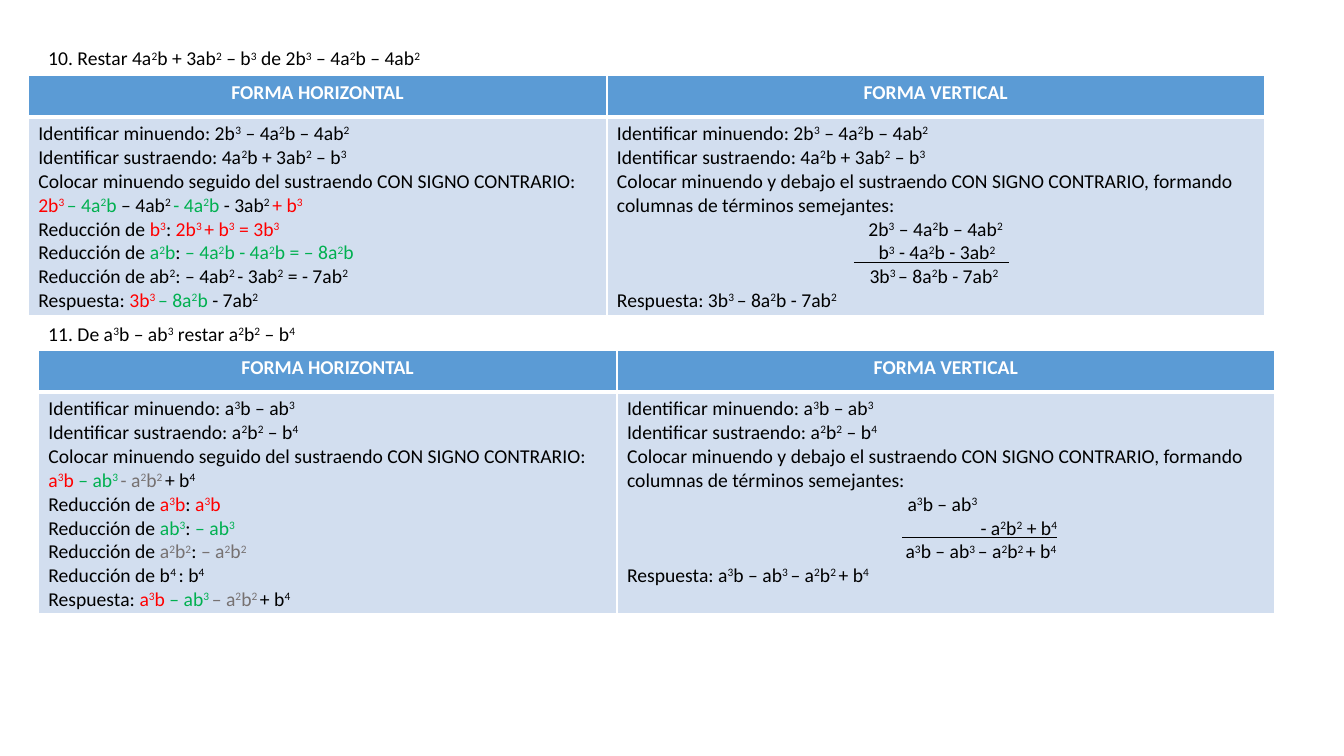
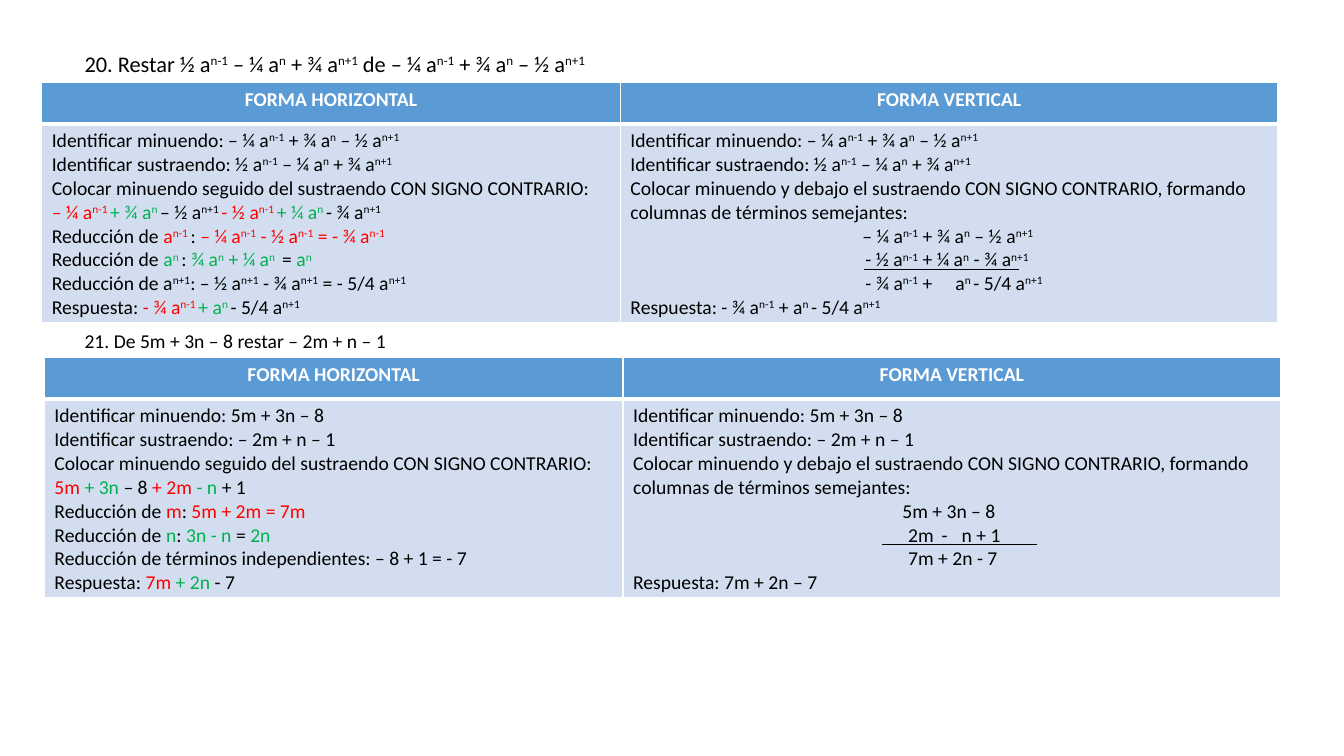
from lxml import etree
from pptx import Presentation
from pptx.dml.color import RGBColor
from pptx.enum.shapes import MSO_CONNECTOR
from pptx.enum.text import PP_ALIGN
from pptx.oxml.ns import qn
from pptx.util import Inches, Pt

STRAIGHT = MSO_CONNECTOR.STRAIGHT
CENTER = PP_ALIGN.CENTER

SLIDE_W, SLIDE_H = Inches(13.333), Inches(7.5)
COLORS = {
    "ink": "000000", "white": "FFFFFF", "header": "5B9BD5", "body": "D2DEEF",
    "r:": "FF0000", "g:": "00B050", "s:": "767171",
}
BODY_FONT = {"name": "Calibri", "size": Pt(14), "bold": False}
HEADER_FONT = {**BODY_FONT, "bold": True}

FORMS = ("FORMA HORIZONTAL", "FORMA VERTICAL")
FORM_WIDTHS = (43.06, 48.94)
HEADER_HEIGHT = 5.47
LINE_HEIGHT, LINE_PADDING = 3.2, 0.53
SUM_RULE_DROP, SUM_RULE_LENGTH = 24.67, 11.55
THIN, THICK = 1, 3

# fmt: off
EXERCISES = [
    [
        {
            "left": 2.1, "top": 10, "heading_left": 2.85, "size": 14,
            "heading": "10. Restar {sustraendo} de {minuendo}",
            "minuendo": "2b^3^ – 4a^2^b – 4ab^2^",
            "sustraendo": "4a^2^b + 3ab^2^ – b^3^",
            "horizontal": [
                "r:2b^3 ^|g:– 4a^2^b |– 4ab^2 ^|g:- 4a^2^b |- 3ab^2 ^|r:+ b^3^",
                "Reducción de |r:b^3^|: |r:2b^3 ^+ b^3^ = 3b^3^",
                "Reducción de |g:a^2^b|: |g:– 4a^2^b - 4a^2^b = – 8a^2^b",
                "Reducción de ab^2^: – 4ab^2 ^- 3ab^2^ = - 7ab^2^",
                "Respuesta: |r:3b^3 ^|g:– 8a^2^b |- 7ab^2^",
            ],
            "vertical": [
                ("\t2b^3^ – 4a^2^b – 4ab^2^", [18.71]),
                ("\tb^3^ - 4a^2^b - 3ab^2^", [19.46]),
                ("\t3b^3 ^– 8a^2^b - 7ab^2^", [18.79]),
            ],
            "answer": "3b^3 ^– 8a^2^b - 7ab^2^",
            "rule_left": 63.53,
        },
        {
            "left": 2.85, "top": 46.4, "heading_left": 2.85, "size": 14,
            "heading": "11. De {minuendo} restar {sustraendo}",
            "minuendo": "a^3^b – ab^3^",
            "sustraendo": "a^2^b^2^ – b^4^",
            "horizontal": [
                "r:a^3^b |g:– ab^3 ^|s:- a^2^b^2 ^|+ b^4^",
                "Reducción de |r:a^3^b|: |r:a^3^b",
                "Reducción de |g:ab^3^|: |g:– ab^3^",
                "Reducción de |s:a^2^b^2^|: |s:– a^2^b^2^",
                "Reducción de b^4 ^: b^4^",
                "Respuesta: |r:a^3^b |g:– ab^3 ^|s:– a^2^b^2 ^|+ b^4^",
            ],
            "vertical": [
                ("\ta^3^b – ab^3^", [20.87]),
                ("\t- a^2^b^2^ + b^4^", [26.3]),
                ("\ta^3^b – ab^3 ^– a^2^b^2 ^+ b^4^", [20.72]),
            ],
            "answer": "a^3^b – ab^3 ^– a^2^b^2 ^+ b^4^",
            "rule_left": 67.13,
        },
    ],
    [
        {
            "left": 3.1, "top": 10.93, "heading_left": 5.55, "size": 16,
            "heading": "20. Restar {sustraendo} de {minuendo}",
            "minuendo": "– ¼ a^n-1^ + ¾ a^n^ – ½ a^n+1^",
            "sustraendo": "½ a^n-1^ – ¼ a^n^ + ¾ a^n+1^",
            "horizontal": [
                "r:– ¼ a^n-1 ^|g:+ ¾ a^n ^|– ½ a^n+1 ^|r:- ½ a^n-1 ^|g:+ ¼ a^n ^|- ¾ a^n+1^",
                "Reducción de |r:a^n-1 ^|: |r:– ¼ a^n-1^ - ½ a^n-1^ = - ¾ a^n-1^",
                "Reducción de |g:a^n ^|: |g:¾ a^n^ + ¼ a^n ^| = |g:a^n^",
                "Reducción de a^n+1^: – ½ a^n+1^ - ¾ a^n+1^ = - 5/4 a^n+1^",
                "Respuesta: |r:- ¾ a^n-1 ^|g:+ a^n ^|- 5/4 a^n+1^",
            ],
            "vertical": [
                ("\t– ¼ a^n-1^ + ¾ a^n^ – ½ a^n+1^", [17.26]),
                ("\t- ½ a^n-1^ + ¼ a^n^ - ¾ a^n+1^", [17.48]),
                ("\t- ¾ a^n-1^ +\ta^n ^- 5/4 a^n+1^", [17.48, 24.18]),
            ],
            "answer": "- ¾ a^n-1^ + a^n ^- 5/4 a^n+1^",
            "rule_left": 64.28,
        },
        {
            "left": 3.3, "top": 47.33, "heading_left": 5.55, "size": 14,
            "heading": "21. De {minuendo} restar {sustraendo}",
            "minuendo": "5m + 3n – 8",
            "sustraendo": "– 2m + n – 1",
            "horizontal": [
                "r:5m |g:+ 3n |– 8 |r:+ 2m |g:- n |+ 1",
                "Reducción de |r:m|: |r:5m + 2m = 7m",
                "Reducción de |g:n|: |g:3n - n |= |g:2n",
                "Reducción de términos independientes: – 8 + 1 = - 7",
                "Respuesta: |r:7m |g:+ 2n |- 7",
            ],
            "vertical": [
                ("\t5m + 3n – 8", [20.03]),
                ("\t2m\t-\tn + 1", [20.46, 22.95, 24.45]),
                ("\t7m + 2n - 7", [20.46]),
            ],
            "answer": "7m + 2n – 7",
            "rule_left": 65.63,
        },
    ],
]
# fmt: on


def across(percent):
    return round(SLIDE_W * percent / 100)


def down(percent):
    return round(SLIDE_H * percent / 100)


def rgb(key):
    return RGBColor.from_string(COLORS[key])


def write_formula(paragraph, formula, style, ink="ink"):
    for term in formula.split("|"):
        color = term[:2] if term[:2] in COLORS else ink
        text = term if color == ink else term[2:]
        for position, piece in enumerate(text.split("^")):
            if not piece:
                continue
            run = paragraph.add_run()
            run.text = piece
            for attribute, value in style.items():
                setattr(run.font, attribute, value)
            run.font.color.rgb = rgb(color)
            if position % 2:
                run.font._element.set("baseline", "30000")


def set_tab_stops(paragraph, stops):
    tab_list = etree.SubElement(paragraph._p.get_or_add_pPr(), qn("a:tabLst"))
    for stop in stops:
        etree.SubElement(tab_list, qn("a:tab"), pos=str(across(stop)), algn="l")


def write_steps(cell, steps):
    frame = cell.text_frame
    for index, (formula, stops) in enumerate(steps):
        paragraph = frame.add_paragraph() if index else frame.paragraphs[0]
        if stops:
            set_tab_stops(paragraph, stops)
        write_formula(paragraph, formula, BODY_FONT)


def style_cell(cell, fill, top, bottom):
    properties = cell._tc.get_or_add_tcPr()
    for side, width in (("L", THIN), ("R", THIN), ("T", top), ("B", bottom)):
        border = etree.SubElement(properties, qn(f"a:ln{side}"), w=str(Pt(width)))
        paint = etree.SubElement(border, qn("a:solidFill"))
        etree.SubElement(paint, qn("a:srgbClr"), val=COLORS["white"])
    cell.fill.solid()
    cell.fill.fore_color.rgb = rgb(fill)


def add_heading(slide, exercise):
    height = 4.93 if exercise["size"] > 14 else 4.53
    box = slide.shapes.add_textbox(
        across(exercise["heading_left"]), down(exercise["top"] - height),
        across(41), down(height),
    )
    box.text_frame.word_wrap = True
    style = {**BODY_FONT, "size": Pt(exercise["size"])}
    write_formula(
        box.text_frame.paragraphs[0], exercise["heading"].format(**exercise), style
    )


def solution_steps(exercise):
    opening = [
        (f"Identificar minuendo: {exercise['minuendo']}", []),
        (f"Identificar sustraendo: {exercise['sustraendo']}", []),
    ]
    horizontal = [
        *opening,
        ("Colocar minuendo seguido del sustraendo CON SIGNO CONTRARIO:", []),
        *((step, []) for step in exercise["horizontal"]),
    ]
    vertical = [
        *opening,
        ("Colocar minuendo y debajo el sustraendo CON SIGNO CONTRARIO, "
         "formando columnas de términos semejantes:", []),
        *exercise["vertical"],
        (f"Respuesta: {exercise['answer']}", []),
    ]
    return horizontal, vertical


def add_solution(slide, exercise):
    solutions = solution_steps(exercise)
    body_height = LINE_HEIGHT * len(solutions[0]) + LINE_PADDING
    table = slide.shapes.add_table(
        2, len(FORMS), across(exercise["left"]), down(exercise["top"]),
        across(sum(FORM_WIDTHS)), down(HEADER_HEIGHT + body_height),
    ).table
    table.horz_banding = False
    for row, height in zip(table.rows, (HEADER_HEIGHT, body_height)):
        row.height = down(height)
    for column, (form, width, steps) in enumerate(zip(FORMS, FORM_WIDTHS, solutions)):
        table.columns[column].width = across(width)
        header, body = table.cell(0, column), table.cell(1, column)
        style_cell(header, "header", THIN, THICK)
        style_cell(body, "body", THICK, THIN)
        title = header.text_frame.paragraphs[0]
        title.alignment = CENTER
        write_formula(title, form, HEADER_FONT, "white")
        write_steps(body, steps)


def add_sum_rule(slide, exercise):
    left, level = exercise["rule_left"], down(exercise["top"] + SUM_RULE_DROP)
    rule = slide.shapes.add_connector(
        STRAIGHT, across(left), level, across(left + SUM_RULE_LENGTH), level
    )
    rule.line.color.rgb = rgb("ink")
    rule.line.width = Pt(0.5)
    etree.SubElement(rule._element.spPr, qn("a:effectLst"))


def main():
    deck = Presentation()
    deck.slide_width, deck.slide_height = SLIDE_W, SLIDE_H
    for exercises in EXERCISES:
        slide = deck.slides.add_slide(deck.slide_layouts[6])
        for exercise in exercises:
            add_heading(slide, exercise)
            add_solution(slide, exercise)
            add_sum_rule(slide, exercise)
    deck.save("out.pptx")


if __name__ == "__main__":
    main()
